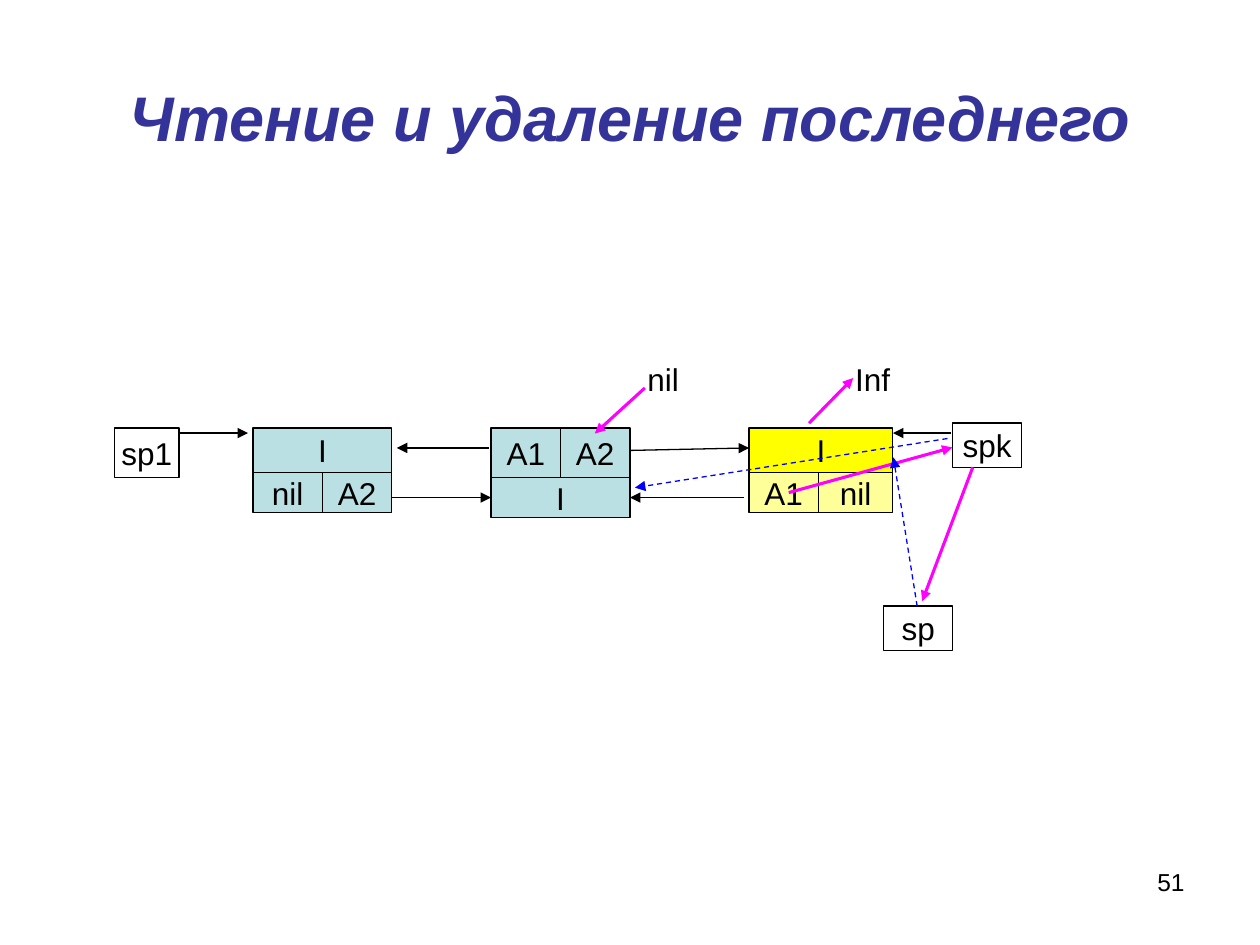
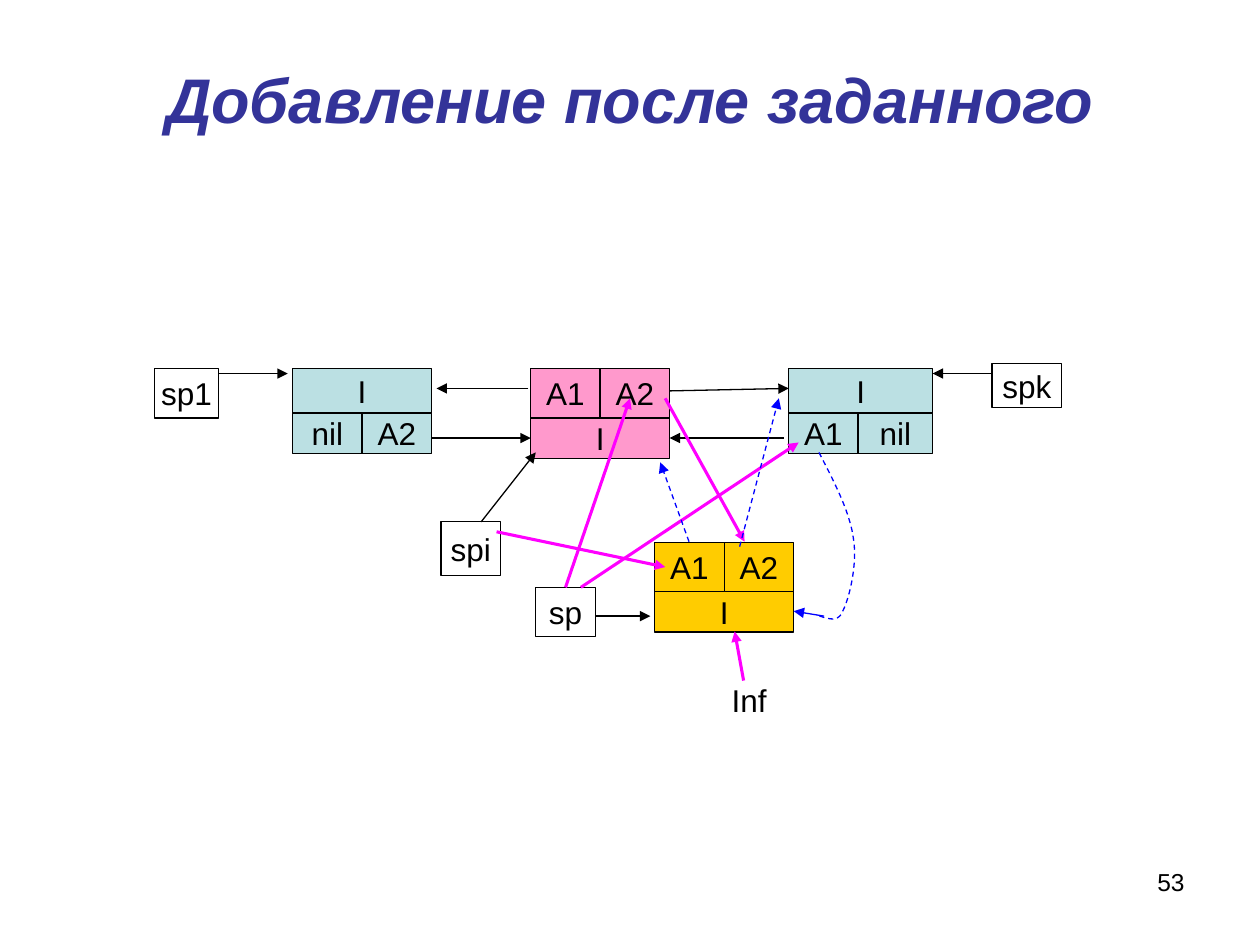
import pptx
import pptx.dml.color
import pptx.enum.dml
import pptx.enum.shapes
import pptx.enum.text
import pptx.oxml
import pptx.oxml.ns
import pptx.util
from pptx.util import Cm

BLACK = pptx.dml.color.RGBColor(0x00, 0x00, 0x00)
NAVY = pptx.dml.color.RGBColor(0x33, 0x33, 0x99)
BLUE = pptx.dml.color.RGBColor(0x00, 0x00, 0xFF)
MAGENTA = pptx.dml.color.RGBColor(0xFF, 0x00, 0xFF)
TEAL = pptx.dml.color.RGBColor(0xBB, 0xE0, 0xE3)
YELLOW = pptx.dml.color.RGBColor(0xFF, 0xFF, 0x00)
PALE_YELLOW = pptx.dml.color.RGBColor(0xFF, 0xFF, 0x99)
PINK = pptx.dml.color.RGBColor(0xFF, 0x99, 0xCC)
GOLD = pptx.dml.color.RGBColor(0xFF, 0xCC, 0x00)

ALIGN = pptx.enum.text.PP_ALIGN
ANCHOR = pptx.enum.text.MSO_ANCHOR
DASH = pptx.enum.dml.MSO_LINE.DASH


def add_text(slide, text, x, y, width, height, boxed=False, fill=None, size=18,
             color=BLACK, bold=False, italic=False, align=ALIGN.CENTER,
             anchor=ANCHOR.MIDDLE):
    area = Cm(x), Cm(y), Cm(width), Cm(height)
    if boxed:
        shape = slide.shapes.add_shape(pptx.enum.shapes.MSO_SHAPE.RECTANGLE, *area)
        shape.shadow.inherit = False
        shape.line.color.rgb = BLACK
        shape.line.width = pptx.util.Pt(0.75)
        if fill is None:
            shape.fill.background()
        else:
            shape.fill.solid()
            shape.fill.fore_color.rgb = fill
    else:
        shape = slide.shapes.add_textbox(*area)
    frame = shape.text_frame
    frame.word_wrap = not boxed
    frame.vertical_anchor = anchor
    paragraph = frame.paragraphs[0]
    paragraph.alignment = align
    run = paragraph.add_run()
    run.text = text
    run.font.name = "Arial"
    run.font.size = pptx.util.Pt(size)
    run.font.color.rgb = color
    run.font.bold = bold
    run.font.italic = italic


def add_arrow(slide, x1, y1, x2, y2, color=BLACK, width=0.75, dash=None):
    arrow = slide.shapes.add_connector(
        pptx.enum.shapes.MSO_CONNECTOR.STRAIGHT, Cm(x1), Cm(y1), Cm(x2), Cm(y2))
    arrow.line.color.rgb = color
    arrow.line.width = pptx.util.Pt(width)
    if dash:
        arrow.line.dash_style = dash
    properties = arrow.line._get_or_add_ln()
    head = pptx.oxml.ns.qn("a:tailEnd")
    properties.append(properties.makeelement(head, {"type": "triangle"}))
    effects = pptx.oxml.ns.qn("a:effectLst")
    properties.getparent().append(properties.makeelement(effects, {}))


LIST_LINKS = [
    (-1.5, 0.1, -0.1, 0.1),
    (2.8, 1.4, 4.8, 1.4),
    (4.75, 0.4, 2.9, 0.4),
    (7.6, 0.45, 10, 0.4),
    (9.9, 1.4, 7.6, 1.4),
    (14.08, 0.1, 12.9, 0.1),
]

SLIDES = [
    {
        "title": "Чтение и удаление последнего", "title_height": 3.18, "number": "51",
        "origin": (5.1, 8.63),
        "middle": TEAL, "last_info": YELLOW, "last_links": PALE_YELLOW,
        "new_nodes": [],
        "pointers": [("sp", 17.81, 12.22, 1.4, 0.89)],
        "labels": [("Inf", 16.99, 7.14), ("nil", 12.8, 7.14)],
        "links": [],
        "assignments": [
            (16.31, 8.53, 17.2, 7.62), (19.61, 9.42, 18.59, 12.12),
            (13, 7.82, 11.99, 8.74), (15.9, 9.93, 19.2, 9.02),
        ],
        "new_links": [(18.49, 12.22, 18.01, 9.22), (19.1, 8.84, 12.8, 9.83)],
    },
    {
        "title": "Добавление после заданного", "title_height": 2.46, "number": "53",
        "origin": (5.9, 7.43),
        "middle": PINK, "last_info": TEAL, "last_links": TEAL,
        "new_nodes": [(7.3, 3.5, 2.8, "A1", "A2", False, GOLD, GOLD)],
        "pointers": [("spi", 8.89, 10.52, 1.2, 1.09), ("sp", 10.8, 11.84, 1.2, 1)],
        "labels": [("Inf", 14.5, 13.61)],
        "links": [(9.7, 10.52, 10.8, 9.12), (11.99, 12.42, 13.11, 12.42)],
        "assignments": [
            (14.99, 13.72, 14.81, 12.73), (10.01, 10.72, 13.41, 11.43),
            (13.41, 8.03, 15.01, 10.92), (11.4, 11.84, 12.7, 8.03),
            (11.71, 11.84, 16.1, 8.92),
        ],
        "new_links": [(13.89, 10.92, 13.31, 9.32), (14.91, 11.02, 15.7, 8.03)],
    },
]

presentation = pptx.Presentation()
presentation.slide_width = Cm(25.4)
presentation.slide_height = Cm(19.05)

for content in SLIDES:
    slide = presentation.slides.add_slide(presentation.slide_layouts[6])
    left, top = content["origin"]
    add_text(slide, content["title"], 1.27, 0.76, 22.86, content["title_height"],
             size=36, color=NAVY, bold=True, italic=True)

    nodes = [
        (0, 0, 2.8, "nil", "А2", True, TEAL, TEAL),
        (4.8, 0, 2.8, "A1", "A2", False, content["middle"], content["middle"]),
        (10, 0, 2.9, "A1", "nil", True, content["last_info"], content["last_links"]),
    ] + content["new_nodes"]
    for x, y, width, previous, following, info_first, info_fill, link_fill in nodes:
        x, y = left + x, top + y
        info_y, link_y = (y, y + 0.9) if info_first else (y + 1, y)
        info_height, link_height = (0.9, 0.81) if info_first else (0.81, 1)
        add_text(slide, "I", x, info_y, width, info_height, boxed=True, fill=info_fill)
        add_text(slide, previous, x, link_y, 1.4, link_height, boxed=True, fill=link_fill)
        add_text(slide, following, x + 1.4, link_y, width - 1.4, link_height,
                 boxed=True, fill=link_fill)

    pointers = [
        ("sp1", left - 2.79, top, 1.3, 1),
        ("spk", left + 14.1, top - 0.1, 1.4, 0.89),
    ] + content["pointers"]
    for name, *area in pointers:
        add_text(slide, name, *area, boxed=True)
    for label, x, y in content["labels"]:
        add_text(slide, label, x, y, 1.7, 1.02, align=ALIGN.LEFT, anchor=ANCHOR.TOP)

    for x1, y1, x2, y2 in LIST_LINKS:
        add_arrow(slide, left + x1, top + y1, left + x2, top + y2)
    for ends in content["links"]:
        add_arrow(slide, *ends)
    for ends in content["assignments"]:
        add_arrow(slide, *ends, color=MAGENTA, width=1.75)
    for ends in content["new_links"]:
        add_arrow(slide, *ends, color=BLUE, dash=DASH)

    add_text(slide, content["number"], 18.21, 17.35, 5.92, 1.32, size=14,
             align=ALIGN.RIGHT, anchor=ANCHOR.TOP)

back_link_bends = [
    ((16.51, 9.12), (16.81, 9.7), (17.12, 10.29), (17.2, 10.82)),
    ((17.2, 10.82), (17.3, 11.35), (17.12, 12.07), (16.99, 12.32)),
    ((16.99, 12.32), (16.89, 12.6), (16.59, 12.42), (16.51, 12.42)),
]
back_link_points = []
for bend in back_link_bends:
    for step in range(1, 13):
        t = step / 12
        weights = (1 - t) ** 3, 3 * t * (1 - t) ** 2, 3 * t ** 2 * (1 - t), t ** 3
        back_link_points.append(tuple(
            Cm(sum(weight * point[axis] for weight, point in zip(weights, bend)))
            for axis in (0, 1)))
start_x, start_y = back_link_bends[0][0]
outline = slide.shapes.build_freeform(Cm(start_x), Cm(start_y))
outline.add_line_segments(back_link_points, close=False)
back_link = outline.convert_to_shape()
back_link.shadow.inherit = False
back_link.fill.background()
back_link.line.color.rgb = BLUE
back_link.line.width = pptx.util.Pt(0.75)
back_link.line.dash_style = DASH
add_arrow(slide, 16.61, 12.42, 16, 12.32, color=BLUE)

presentation.save("out.pptx")
